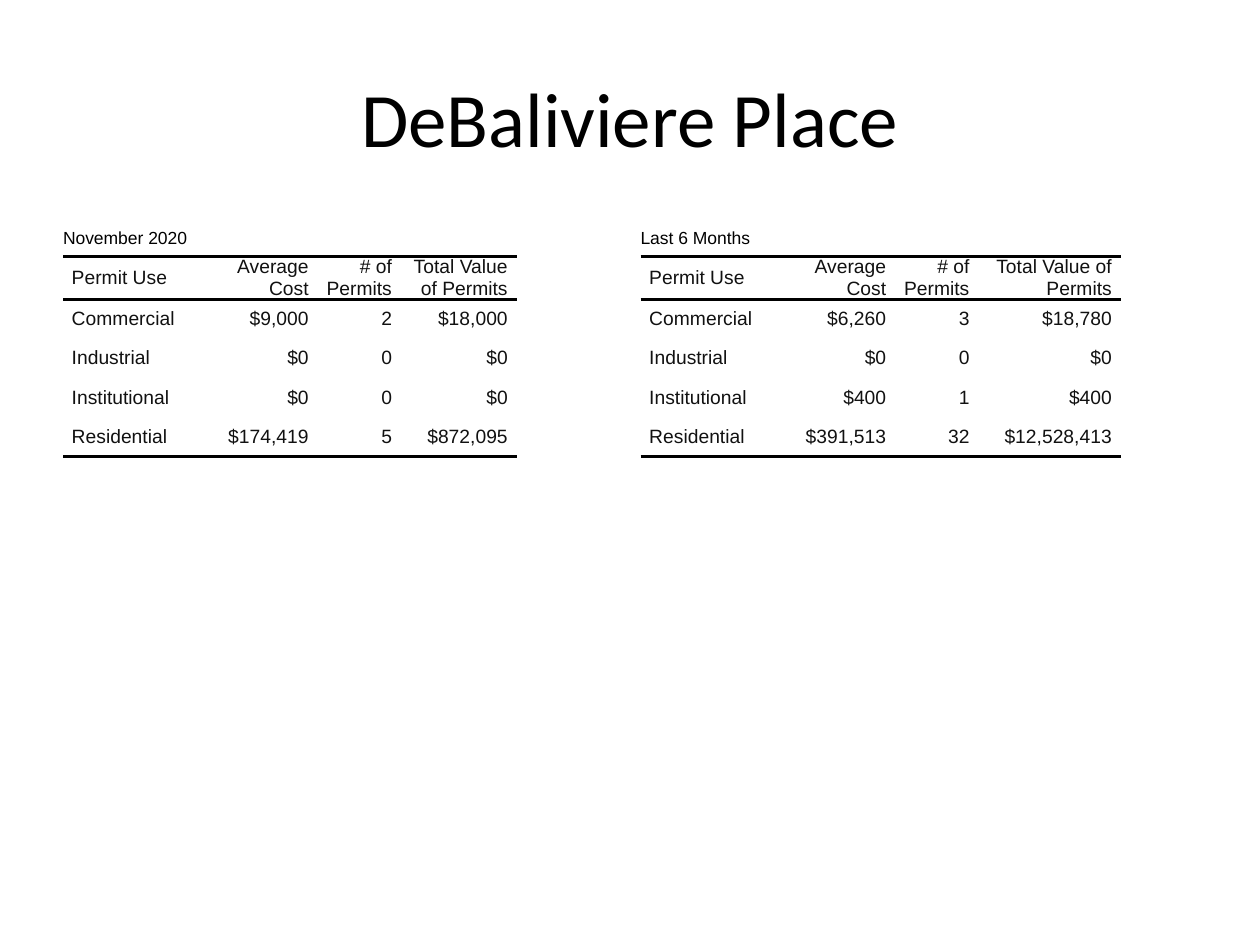
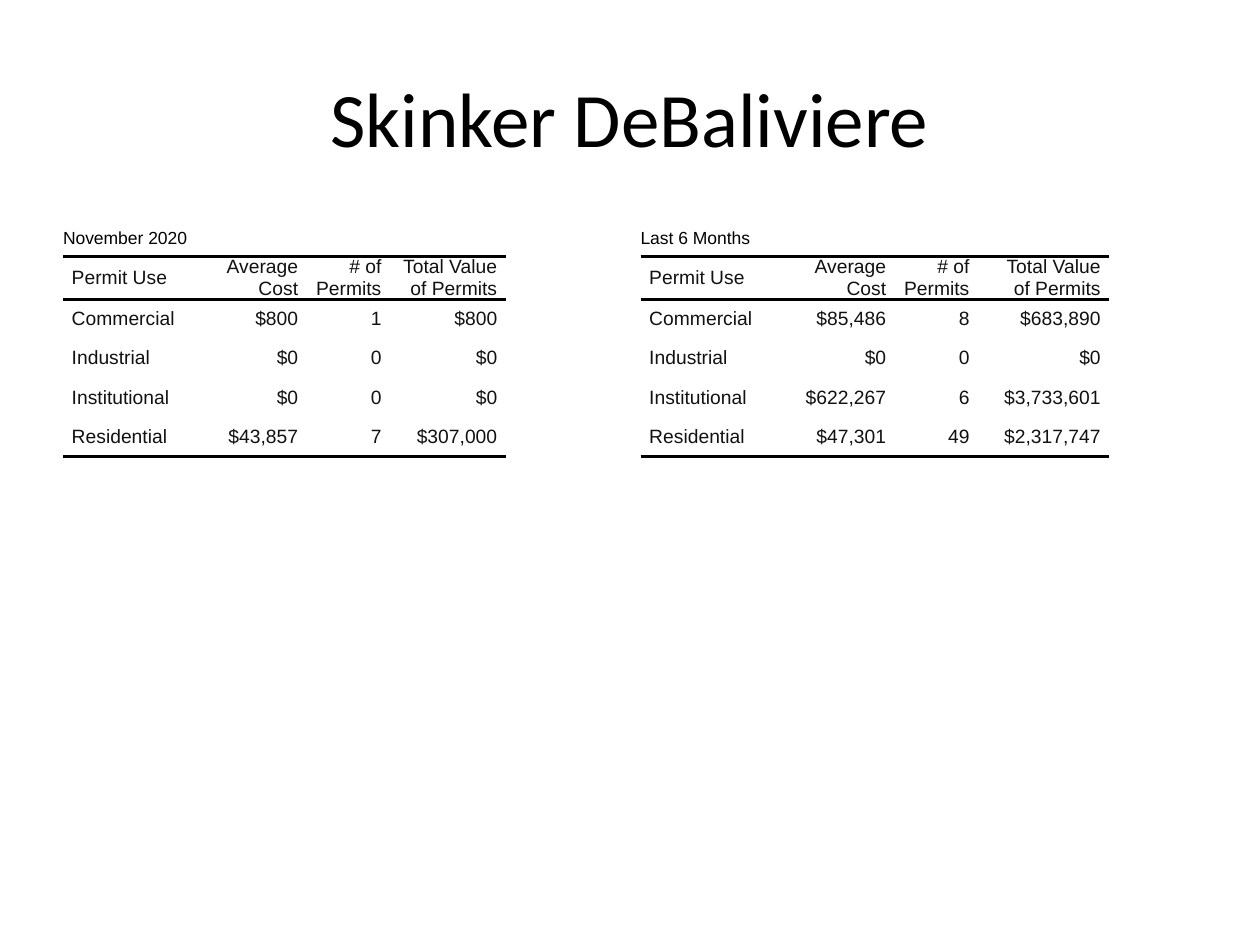
from lxml import etree
from pptx import Presentation
from pptx.dml.color import RGBColor
from pptx.enum import text
from pptx.oxml import ns
from pptx.util import Pt

BLACK = RGBColor(0x00, 0x00, 0x00)
INK = RGBColor(0x11, 0x11, 0x11)
TITLE_FONT, TABLE_FONT = "Calibri", "Arial"
NO_STYLE = "{2D5ABB26-0587-4C30-8999-92F81FD0307C}"
TITLE_ONLY = 5

MARGIN, TABLE_TOP = 36, 126
FRAME_WIDTH, FRAME_HEIGHT = 318, 356.5
LAST_6_LEFT = 720 - MARGIN - FRAME_WIDTH
CAPTION_ROW, BODY_ROW = 20.6, 22.4
CELL_PAD = 5

HEADERS = ("Permit Use", "Average Cost", "# of Permits", "Total Value of Permits")
USES = ("Commercial", "Industrial", "Institutional", "Residential")
USE_WIDTH, COUNT_WIDTH = 79.2, 47.6

# Per table: average cost width, total width, then (average, count, total) by use
NEIGHBORHOODS = {
    "DeBaliviere Place": (
        (66.2, 66.2, [(9000, 2, 18000), (0, 0, 0), (0, 0, 0), (174419, 5, 872095)]),
        (66.2, 81.4, [(6260, 3, 18780), (0, 0, 0), (400, 1, 400),
                      (391513, 32, 12528413)]),
    ),
    "Skinker DeBaliviere": (
        (60.2, 66.2, [(800, 1, 800), (0, 0, 0), (0, 0, 0), (43857, 7, 307000)]),
        (66.2, 75, [(85486, 8, 683890), (0, 0, 0), (622267, 6, 3733601),
                    (47301, 49, 2317747)]),
    ),
}
PERIODS = (("November 2020", MARGIN), ("Last 6 Months", LAST_6_LEFT))


class Deck:
    def __init__(self):
        self.prs = Presentation()
        self.prs.slide_width, self.prs.slide_height = Pt(720), Pt(540)
        self.s = None

    def slide(self, title):
        self.s = self.prs.slides.add_slide(self.prs.slide_layouts[TITLE_ONLY])
        sp = self.s.shapes.title
        sp.left, sp.top, sp.width, sp.height = Pt(MARGIN), Pt(21.6), Pt(648), Pt(90)
        tf = sp.text_frame
        tf.text = title
        tf.vertical_anchor = text.MSO_ANCHOR.MIDDLE
        p = tf.paragraphs[0]
        p.alignment = text.PP_ALIGN.CENTER
        self.style(p, TITLE_FONT, 44, BLACK)

    def style(self, p, font, size, color):
        p.font.name, p.font.size = font, Pt(size)
        p.font.color.rgb = color

    def rule(self, cell, side):
        """Draw a 2 pt rule on side "T" or "B" of a cell."""
        ln = etree.SubElement(cell._tc.get_or_add_tcPr(), ns.qn(f"a:ln{side}"),
                              w=str(Pt(2)))
        fill = etree.SubElement(ln, ns.qn("a:solidFill"))
        etree.SubElement(fill, ns.qn("a:srgbClr"), val=str(BLACK))

    def cell(self, cell, value, size, color, pad=0, rules="", right=False):
        for side in rules:
            self.rule(cell, side)
        cell.fill.background()
        cell.margin_left = cell.margin_right = Pt(pad)
        cell.margin_top = cell.margin_bottom = 0
        cell.vertical_anchor = text.MSO_ANCHOR.MIDDLE
        cell.text = value
        p = cell.text_frame.paragraphs[0]
        p.alignment = text.PP_ALIGN.RIGHT if right else text.PP_ALIGN.LEFT
        self.style(p, TABLE_FONT, size, color)

    def permit_table(self, period, left, average_width, total_width, figures):
        rows = [HEADERS] + [
            (use, f"${average:,}", str(count), f"${total:,}")
            for use, (average, count, total) in zip(USES, figures)]
        frame = self.s.shapes.add_table(
            len(rows) + 1, len(HEADERS), Pt(left), Pt(TABLE_TOP),
            Pt(FRAME_WIDTH), Pt(FRAME_HEIGHT))
        table = frame.table
        table.first_row = table.horz_banding = False
        table._tbl.tblPr.find(ns.qn("a:tableStyleId")).text = NO_STYLE

        widths = (USE_WIDTH, average_width, COUNT_WIDTH, total_width)
        for column, width in zip(table.columns, widths):
            column.width = Pt(width)
        for i, row in enumerate(table.rows):
            row.height = Pt(CAPTION_ROW if i < 2 else BODY_ROW)
        frame.width, frame.height = Pt(FRAME_WIDTH), Pt(FRAME_HEIGHT)

        caption = table.cell(0, 0)
        caption.merge(table.cell(0, len(HEADERS) - 1))
        self.cell(caption, period, 10, BLACK)
        rules = {1: "TB", len(rows): "B"}
        for i, values in enumerate(rows, 1):
            for j, value in enumerate(values):
                self.cell(table.cell(i, j), value, 11, INK, CELL_PAD,
                          rules.get(i, ""), right=j > 0)


def main():
    deck = Deck()
    for name, tables in NEIGHBORHOODS.items():
        deck.slide(name)
        for (period, left), data in zip(PERIODS, tables):
            deck.permit_table(period, left, *data)
    deck.prs.save("out.pptx")


if __name__ == "__main__":
    main()
